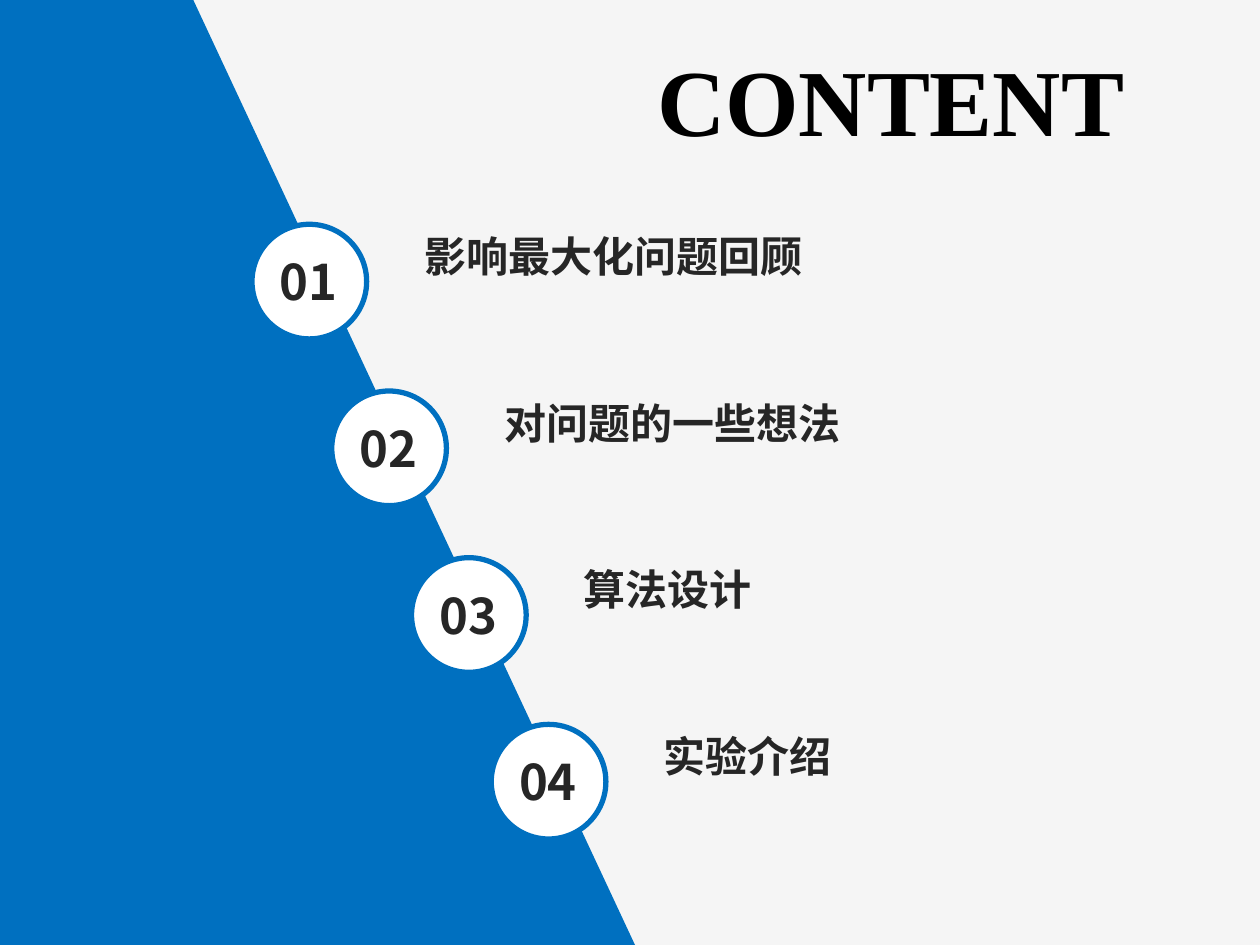
from dataclasses import dataclass

from lxml import etree
from pptx import Presentation
from pptx.dml.color import RGBColor
from pptx.enum.shapes import MSO_SHAPE
from pptx.enum.text import MSO_ANCHOR, MSO_AUTO_SIZE, PP_ALIGN
from pptx.oxml.ns import qn
from pptx.util import Inches, Pt

OVAL = MSO_SHAPE.OVAL
TOP, MIDDLE = MSO_ANCHOR.TOP, MSO_ANCHOR.MIDDLE
LEFT, CENTER = PP_ALIGN.LEFT, PP_ALIGN.CENTER
NO_FIT = MSO_AUTO_SIZE.NONE


@dataclass(frozen=True)
class Theme:
    background: RGBColor = RGBColor(0xF5, 0xF5, 0xF5)
    accent: RGBColor = RGBColor(0x00, 0x70, 0xC0)
    white: RGBColor = RGBColor(0xFF, 0xFF, 0xFF)
    ink: RGBColor = RGBColor(0x26, 0x26, 0x26)
    black: RGBColor = RGBColor(0, 0, 0)
    body_font: str = "Noto Sans CJK SC"
    title_font: str = "Times New Roman"
    title_size: int = 54
    number_size: int = 28
    item_size: int = 24


THEME = Theme()
ITEMS = ["影响最大化问题回顾", "对问题的一些想法", "算法设计", "实验介绍"]
ITEM_RIGHTS = [9.37, 9.37, 10, 10]
FIRST_X, FIRST_Y = 2.0, 1.78
STEP_X, STEP_Y = 0.633, 1.323
DIAMETER = 0.91


def place(sp, x, y, w, h):
    sp.left, sp.top, sp.width, sp.height = map(Inches, (x, y, w, h))


def write(sp, text, size, font, color, align, anchor=TOP):
    tf = sp.text_frame
    tf.word_wrap = True
    tf.auto_size = NO_FIT
    tf.vertical_anchor = anchor
    p = tf.paragraphs[0]
    p.alignment = align
    r = p.add_run()
    r.text = text
    r.font.size = Pt(size)
    r.font.bold = True
    r.font.name = font
    r.font.color.rgb = color
    etree.SubElement(r.font._element, qn("a:ea")).set("typeface", font)


def add_text(shapes, box, text, size, align):
    sp = shapes.add_textbox(*map(Inches, box))
    write(sp, text, size, THEME.body_font, THEME.ink, align)


def add_title(s, text):
    sp = s.shapes.title
    place(sp, 4.77, 0.28, 4.6, 1.01)
    write(sp, text, THEME.title_size, THEME.title_font, THEME.black, CENTER, MIDDLE)


def add_side_panel(s):
    corners = [(5.04, 7.5), (1.53, -0.01), (-0.03, -0.01), (-0.01, 7.54)]
    points = [(Inches(x), Inches(y)) for x, y in corners]
    builder = s.shapes.build_freeform(*points[0])
    builder.add_line_segments(points[1:], close=True)
    sp = builder.convert_to_shape()
    sp.shadow.inherit = False
    sp.fill.solid()
    sp.fill.fore_color.rgb = THEME.accent
    sp.line.fill.background()


def add_badge(s, x, y, number):
    shapes = s.shapes.add_group_shape().shapes
    sp = shapes.add_shape(OVAL, *map(Inches, (x, y, DIAMETER, DIAMETER)))
    sp.shadow.inherit = False
    sp.fill.solid()
    sp.fill.fore_color.rgb = THEME.white
    sp.line.color.rgb = THEME.accent
    sp.line.width = Pt(3)
    add_text(shapes, (x + 0.08, y + 0.17, 0.74, 0.57), f"{number:02d}",
             THEME.number_size, CENTER)


def add_item(s, index, text, right):
    x, y = FIRST_X + index * STEP_X, FIRST_Y + index * STEP_Y
    label_x = x + 1.27
    add_badge(s, x, y, index + 1)
    add_text(s.shapes, (label_x, y, right - label_x, 0.5), text,
             THEME.item_size, LEFT)


def main():
    prs = Presentation()
    prs.slide_width, prs.slide_height = Inches(10), Inches(7.5)
    s = prs.slides.add_slide(prs.slide_layouts[5])
    s.background.fill.solid()
    s.background.fill.fore_color.rgb = THEME.background
    add_title(s, "CONTENT")
    add_side_panel(s)
    for index, (text, right) in enumerate(zip(ITEMS, ITEM_RIGHTS)):
        add_item(s, index, text, right)
    prs.save("out.pptx")


main()
